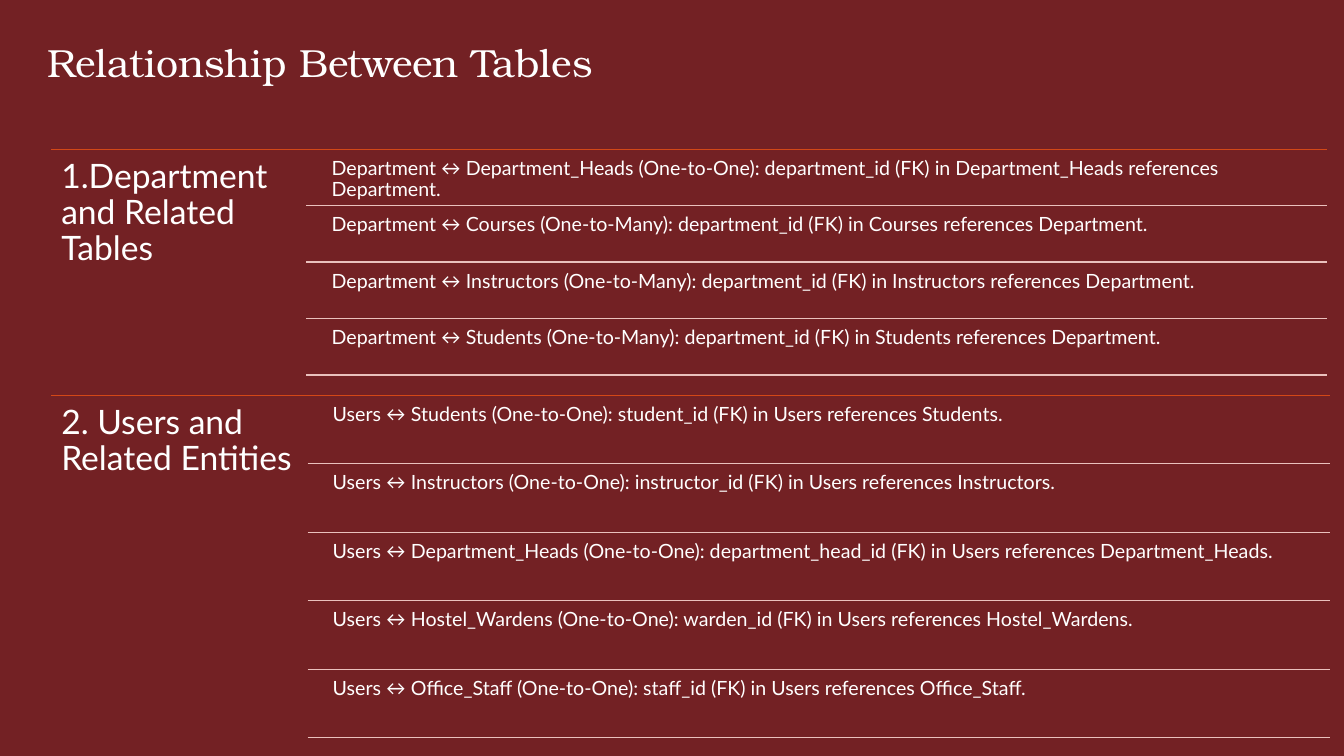
"""Build the slide on relationships between database tables."""
from pptx import Presentation
from pptx.dml.color import RGBColor
from pptx.enum.shapes import MSO_CONNECTOR, MSO_SHAPE
from pptx.util import Inches, Pt
from lxml import etree

LINE = MSO_CONNECTOR.STRAIGHT
RECT = MSO_SHAPE.RECTANGLE
NS = "http://schemas.openxmlformats.org/drawingml/2006/main"

WINE, WHITE, RUST, PINK = "732124", "FFFFFF", "D34817", "EAC1BD"
HEAD, BODY = "TeX Gyre Bonum", "Lato"
LEFT = 0.51
GAP = 0.03

TITLE = "Relationship Between Tables"
PARTS = [
    {
        "name": "1.Department and Related Tables",
        "top": 1.48, "step": 0.56, "right": 13.16, "rule": 3.04, "text": 3.23,
        "tall": 2.26,
        "rows": [
            "Department ↔ Department_Heads (One-to-One): department_id (FK) in Department_Heads references Department.",
            "Department ↔ Courses (One-to-Many): department_id (FK) in Courses references Department.",
            "Department ↔ Instructors (One-to-Many): department_id (FK) in Instructors references Department.",
            "Department ↔ Students (One-to-Many): department_id (FK) in Students references Department.",
        ],
    },
    {
        "name": "2. Users and Related Entities",
        "top": 3.92, "step": 0.68, "right": 13.19, "rule": 3.05, "text": 3.24,
        "tall": 3.43,
        "rows": [
            "Users ↔ Students (One-to-One): student_id (FK) in Users references Students.",
            "Users ↔ Instructors (One-to-One): instructor_id (FK) in Users references Instructors.",
            "Users ↔ Department_Heads (One-to-One): department_head_id (FK) in Users references Department_Heads.",
            "Users ↔ Hostel_Wardens (One-to-One): warden_id (FK) in Users references Hostel_Wardens.",
            "Users ↔ Office_Staff (One-to-One): staff_id (FK) in Users references Office_Staff.",
        ],
    },
]


def paint(color):
    return RGBColor.from_string(color)


def add_text(shapes, text, box, size, font=BODY, pad=(0.1, 0.1), lead=0.9):
    frame = shapes.add_textbox(*map(Inches, box)).text_frame
    frame.word_wrap = True
    frame.margin_left = frame.margin_right = Inches(pad[0])
    frame.margin_top = frame.margin_bottom = Inches(pad[1])
    para = frame.paragraphs[0]
    para.line_spacing = lead
    run = para.add_run()
    run.text = text
    run.font.size = Pt(size)
    run.font.name = font
    run.font.color.rgb = paint(WHITE)


def add_rule(shapes, left, right, y, color):
    rule = shapes.add_connector(LINE, *map(Inches, (left, y, right, y)))
    rule.line.color.rgb = paint(color)
    rule.line.width = Pt(0.85)
    etree.SubElement(rule._element.spPr, f"{{{NS}}}effectLst")


def add_part(slide, part):
    shapes = slide.shapes.add_group_shape().shapes
    top, step, right = part["top"], part["step"], part["right"]
    rule, text = part["rule"], part["text"]
    add_rule(shapes, LEFT, right, top, RUST)
    add_text(shapes, part["name"], (LEFT, top, rule - LEFT, part["tall"]), 24)
    for i, row in enumerate(part["rows"]):
        y = top + i * step
        box = (text, y + GAP, right - text, step - GAP)
        add_text(shapes, row, box, 14, pad=(0.06, 0.06))
        add_rule(shapes, rule, right, y + step, PINK)


def main():
    deck = Presentation()
    deck.slide_width, deck.slide_height = Inches(13.33), Inches(7.5)
    slide = deck.slides.add_slide(deck.slide_layouts[6])
    back = slide.background.fill
    back.solid()
    back.fore_color.rgb = paint(WINE)

    panel = slide.shapes.add_shape(RECT, *map(Inches, (0.17, 0.1, 12.91, 7.08)))
    panel.shadow.inherit = False
    panel.fill.solid()
    panel.fill.fore_color.rgb = paint(WINE)
    panel.line.color.rgb = paint(WINE)
    panel.line.width = Pt(0.85)

    add_text(slide.shapes, TITLE, (0.37, 0.33, 9.88, 0.57), 28, HEAD, (0.1, 0.05), 1.0)
    for part in PARTS:
        add_part(slide, part)
    deck.save("out.pptx")


if __name__ == "__main__":
    main()
